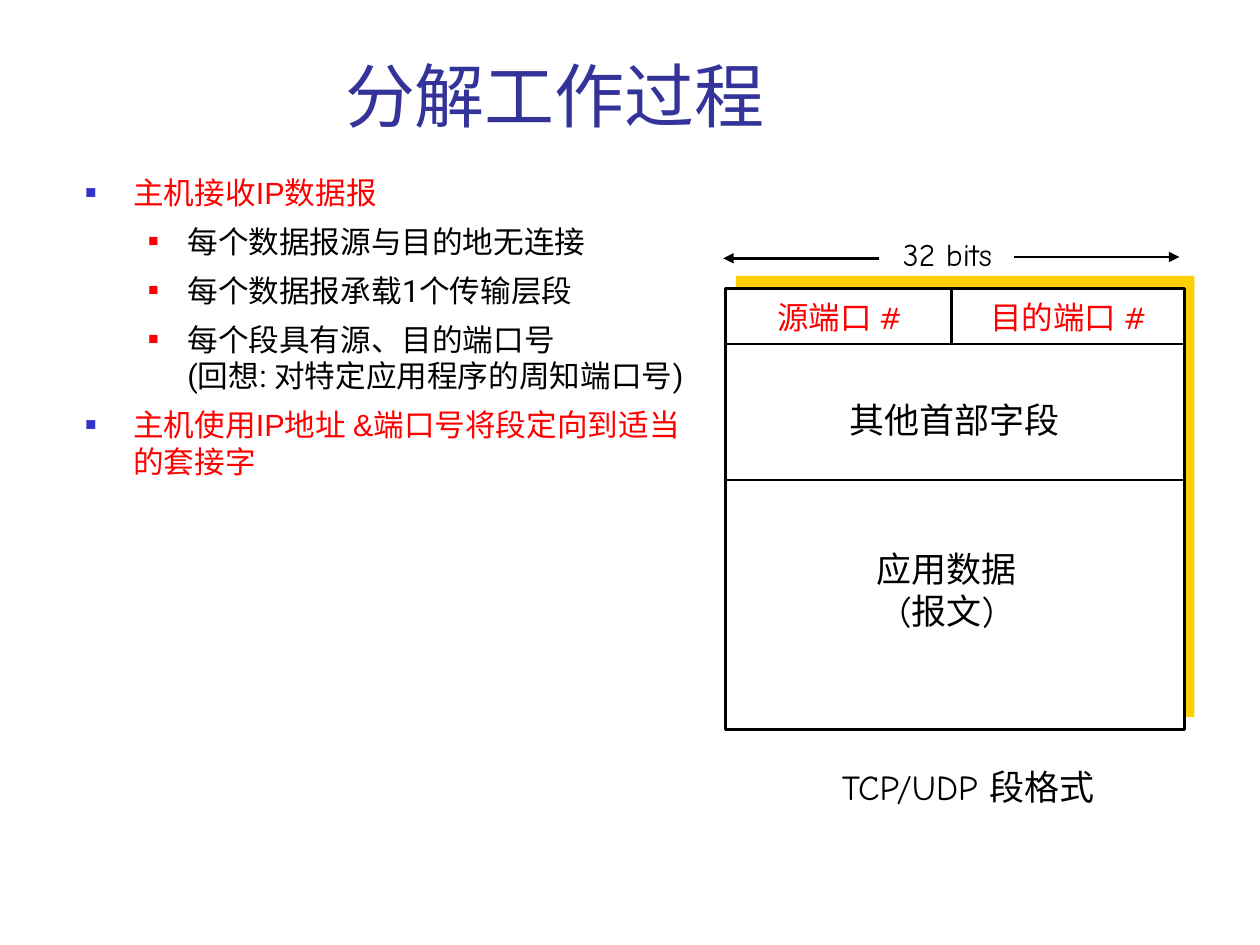
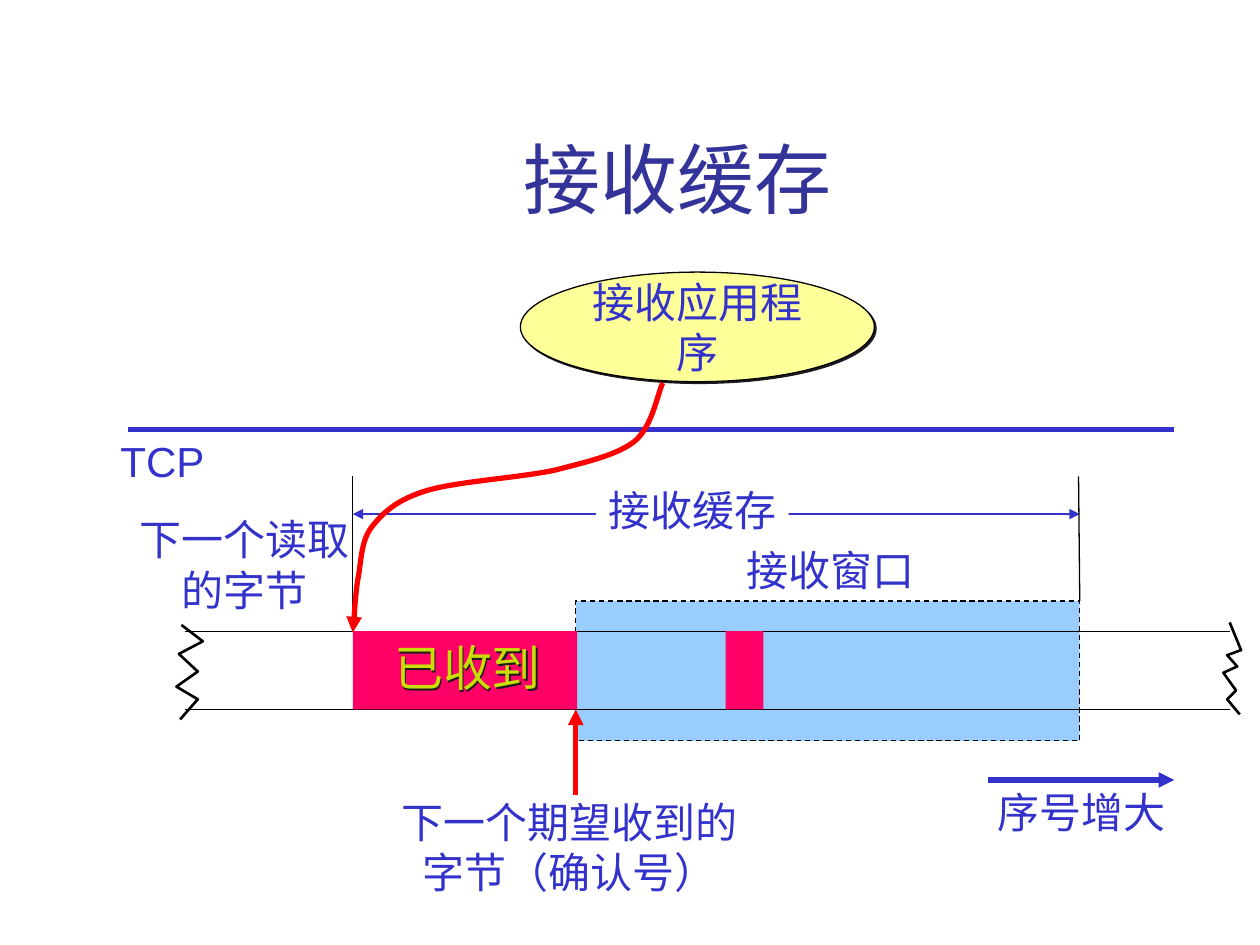
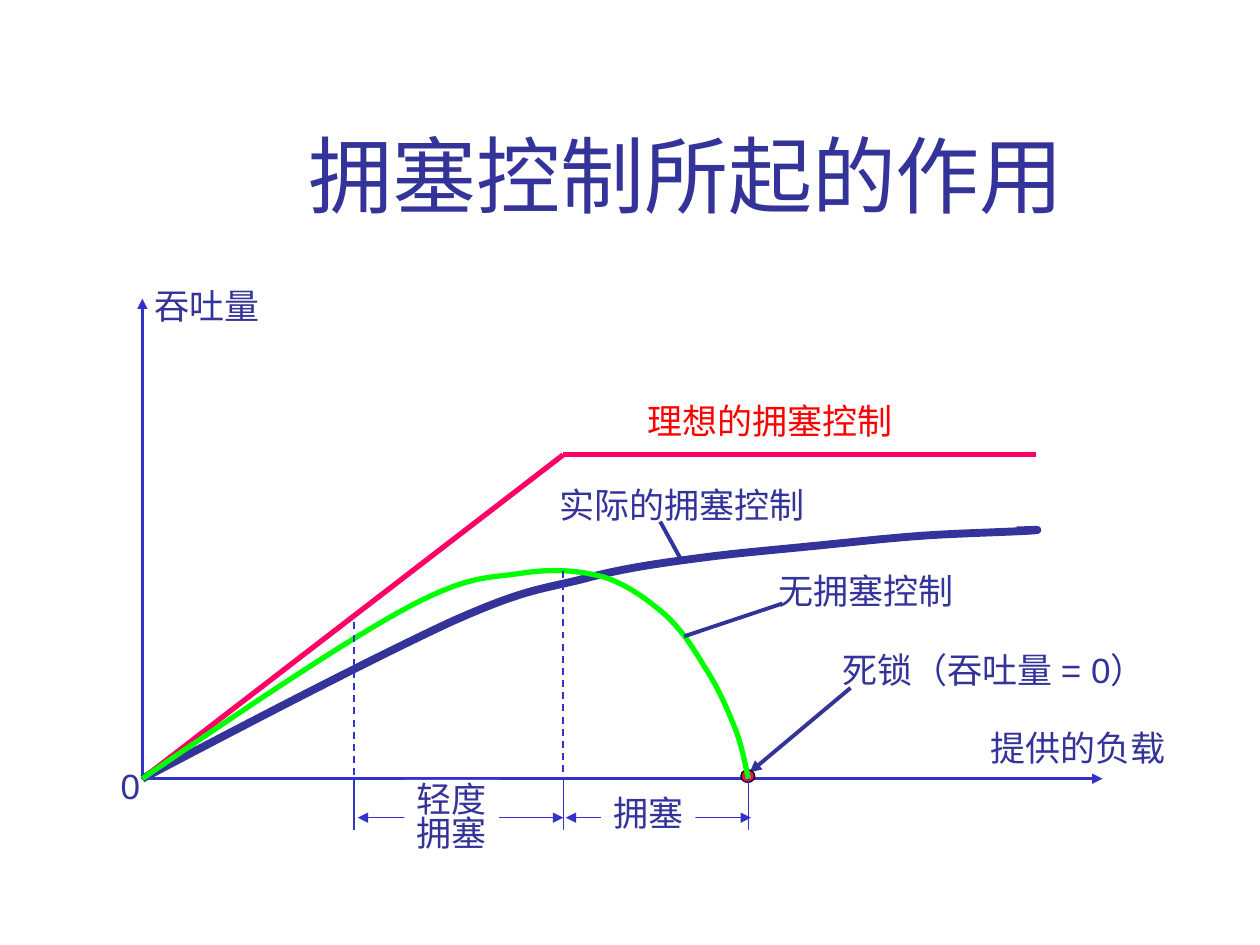
import pptx
import pptx.dml.color
import pptx.enum.dml
import pptx.enum.lang
import pptx.enum.shapes
import pptx.enum.text
import pptx.oxml
import pptx.oxml.ns
import pptx.util

RGB = pptx.dml.color.RGBColor
ALIGN = pptx.enum.text.PP_ALIGN
ANCHOR = pptx.enum.text.MSO_ANCHOR
SHAPE = pptx.enum.shapes.MSO_SHAPE
qn = pptx.oxml.ns.qn

# Shared style
SCALE = 9144  # EMU in one px, at 100 px to the inch
TITLE_COLOR = NAVY = RGB(0x33, 0x33, 0x99)
BLUE = RGB(0x33, 0x33, 0xCC)
RED = RGB(0xFF, 0x00, 0x00)
PINK = RGB(0xFF, 0x00, 0x66)
BLACK = RGB(0x00, 0x00, 0x00)
WHITE = RGB(0xFF, 0xFF, 0xFF)
GOLD = RGB(0xFF, 0xCF, 0x01)
SKY = RGB(0x99, 0xCC, 0xFF)
CREAM = RGB(0xFF, 0xFF, 0x99)
LIME = RGB(0xC9, 0xDE, 0x06)
GREEN = RGB(0x00, 0xFF, 0x00)
SHADOW = RGB(0x1C, 0x1C, 0x1C)
SANS, BODY, COMIC = "Arial", "Roboto", "Comic Neue"


def px(length):
    return pptx.util.Emu(length * SCALE)


def element(xml):
    """Parse one DrawingML element."""
    return pptx.oxml.parse_xml(f"<a:root {pptx.oxml.ns.nsdecls('a')}>{xml}</a:root>")[0]


def add_shadow(shape):
    """Cast a short shadow down and to the right."""
    shape.shadow.inherit = False
    shape._element.spPr.find(qn("a:effectLst")).append(element(
        '<a:outerShdw dist="17780" dir="2700000" algn="ctr">'
        f'<a:srgbClr val="{SHADOW}"/></a:outerShdw>'))


# Text
def add_text(paragraph, text, size, color, font):
    """Add one run for each line of the text, with line breaks between."""
    for number, line in enumerate(text.split("\n")):
        if number:
            paragraph.add_line_break()
        run = paragraph.add_run()
        run.text = line
        run.font.size = pptx.util.Pt(size)
        run.font.name = font
        run.font.color.rgb = color
        run.font.language_id = pptx.enum.lang.MSO_LANGUAGE_ID.SIMPLIFIED_CHINESE


def set_frame(frame, left=10, right=10, anchor=ANCHOR.TOP):
    frame.word_wrap = True
    frame.vertical_anchor = anchor
    frame.margin_left, frame.margin_right = px(left), px(right)
    frame.margin_top = frame.margin_bottom = px(5)


def add_label(slide, box, lines, size, color=BLUE, font=SANS, align=ALIGN.CENTER,
              fill=None, spacing=None):
    """Add a label with one paragraph for each line."""
    label = slide.shapes.add_textbox(*map(px, box))
    if fill is not None:
        label.fill.solid()
        label.fill.fore_color.rgb = fill
    frame = label.text_frame
    # Slim margins keep each line whole in its tight box
    if align == ALIGN.LEFT:
        set_frame(frame, right=0)
    else:
        set_frame(frame, left=4, right=4)
    for number, line in enumerate(lines):
        paragraph = frame.add_paragraph() if number else frame.paragraphs[0]
        paragraph.alignment = align
        paragraph.line_spacing = spacing
        add_text(paragraph, line, size, color, font)
    return label


def add_title(slide, box, text, size, align=ALIGN.CENTER):
    frame = slide.shapes.add_textbox(*map(px, box)).text_frame
    set_frame(frame, anchor=ANCHOR.BOTTOM)
    frame.paragraphs[0].alignment = align
    add_text(frame.paragraphs[0], text, size, TITLE_COLOR, SANS)


def add_outline(slide, box, items):
    """Add a bulleted outline from (level, text) pairs."""
    # Per level: left margin, hanging indent, bullet colour, bullet %, text colour, font
    levels = [(38, 38, BLUE, 60, RED, SANS), (81, 31, RED, 55, BLACK, BODY)]
    frame = slide.shapes.add_textbox(*map(px, box)).text_frame
    set_frame(frame)
    for number, (level, text) in enumerate(items):
        margin, hanging, bullet_color, percent, color, font = levels[level]
        paragraph = frame.add_paragraph() if number else frame.paragraphs[0]
        paragraph.level = level
        paragraph.space_before = pptx.util.Pt(7)
        properties = paragraph._p.get_or_add_pPr()
        properties.set("marL", str(px(margin)))
        properties.set("indent", str(-px(hanging)))
        for xml in (f'<a:buClr><a:srgbClr val="{bullet_color}"/></a:buClr>',
                    f'<a:buSzPct val="{percent * 1000}"/>',
                    '<a:buFont typeface="Arial"/>',
                    '<a:buChar char="■"/>'):
            properties.append(element(xml))
        add_text(paragraph, text, 17.5, color, font)


# Shapes and lines
def set_line(line, color, width, dashed=False, arrows=""):
    """Style a line; arrows may name "head" (start), "tail" (end) or both."""
    line.color.rgb = color
    line.width = pptx.util.Pt(width)
    if dashed:
        line.dash_style = pptx.enum.dml.MSO_LINE.DASH
    for end in ("head", "tail"):
        if end in arrows:
            line._get_or_add_ln().append(element(f'<a:{end}End type="triangle"/>'))


def add_box(slide, box, fill, line_width=0, dashed=False, kind=SHAPE.RECTANGLE):
    shape = slide.shapes.add_shape(kind, *map(px, box))
    shape.shadow.inherit = False
    shape.fill.solid()
    shape.fill.fore_color.rgb = fill
    if line_width:
        set_line(shape.line, BLACK, line_width, dashed)
    else:
        shape.line.fill.background()
    return shape


def add_line(slide, start, end, color, width, dashed=False, arrows=""):
    line = slide.shapes.add_connector(
        pptx.enum.shapes.MSO_CONNECTOR.STRAIGHT, *map(px, start + end))
    set_line(line.line, color, width, dashed, arrows)
    line._element.spPr.append(element("<a:effectLst/>"))


def add_path(slide, points, color, width, arrows=""):
    """Draw an open outline through the points."""
    (x, y), *others = [(px(x), px(y)) for x, y in points]
    builder = slide.shapes.build_freeform(x, y)
    builder.add_line_segments(others, close=False)
    path = builder.convert_to_shape()
    path.shadow.inherit = False
    path.fill.background()
    set_line(path.line, color, width, arrows=arrows)
    return path


def add_curve(slide, points, color, width, arrows=""):
    """Draw cubic curves: a start, then two controls and an end for each."""
    curve = add_path(slide, points, color, width, arrows)
    segments = list(curve._element.spPr.iter(qn("a:lnTo")))
    for first in range(0, len(segments), 3):
        cubic = element("<a:cubicBezTo/>")
        segments[first].addprevious(cubic)
        for segment in segments[first:first + 3]:
            cubic.append(segment[0])
            segment.getparent().remove(segment)


# Slides
def build_segment_slide(slide):
    left, right, top = 576, 940, 229
    add_box(slide, (584, 219, 364, 350), GOLD)
    add_box(slide, (left, top, right - left, 350), WHITE, 1.5)
    add_title(slide, (264, 21, 587, 92), "分解工作过程", 40, ALIGN.LEFT)
    add_outline(slide, (58, 133, 497, 305), [
        (0, "主机接收IP数据报"),
        (1, "每个数据报源与目的地无连接"),
        (1, "每个数据报承载1个传输层段"),
        (1, "每个段具有源、目的端口号 \n(回想: 对特定应用程序的周知端口号)"),
        (0, "主机使用IP地址 &端口号将段定向到适当的套接字"),
    ])

    # Field borders and the width arrows
    for border in (273, 381):
        add_line(slide, (left, border), (right, border), BLACK, 1.5)
    add_line(slide, (755, 272), (755, top), BLACK, 1.5)
    add_line(slide, (805, 204), (936, 204), BLACK, 1.5, arrows="tail")
    add_line(slide, (698, 205), (574, 205), BLACK, 1.5, arrows="tail")

    # Field names
    for box, lines, size, color in [
        ((604, 232, 125, 40), ["源端口 #"], 18, RED),
        ((773, 232, 150, 40), ["目的端口 #"], 18, RED),
        ((707, 182, 90, 40), ["32 bits"], 18, BLACK),
        ((686, 430, 131, 77), ["应用数据", "(报文)"], 20, BLACK),
        ((664, 311, 187, 44), ["其他首部字段"], 20, BLACK),
        ((653, 603, 231, 44), ["TCP/UDP 段格式"], 20, BLACK),
    ]:
        add_label(slide, box, lines, size, color, COMIC)


def build_buffer_slide(slide):
    stream_top, stream_bottom = 501, 563
    stream_height = stream_bottom - stream_top
    buffer_left, window_left, buffer_right = 280, 457, 857

    add_box(slide, (window_left, 477, buffer_right - window_left, 111), SKY, 0.75, True)
    add_title(slide, (126, 23, 823, 160), "接收缓存", 44)

    # Receiving application above the TCP boundary
    application = add_box(slide, (413, 216, 281, 87), CREAM, 0.75, kind=SHAPE.OVAL)
    add_shadow(application)
    set_frame(application.text_frame, left=0, right=0, anchor=ANCHOR.MIDDLE)
    caption = application.text_frame.paragraphs[0]
    caption.alignment = ALIGN.CENTER
    add_text(caption, "接收应用程序", 24, BLUE, SANS)
    add_line(slide, (102, 341), (932, 341), BLUE, 3)

    # Byte stream and received blocks
    for edge in (stream_top, stream_bottom):
        add_line(slide, (147, edge), (976, edge), BLACK, 0.75)
    for block_left, block_width in ((buffer_left, 178), (576, 30)):
        add_box(slide, (block_left, stream_top, block_width, stream_height), PINK)
    received = add_label(slide, (303, stream_top, 136, 57), ["已收到"], 28, LIME,
                         align=ALIGN.LEFT)
    add_shadow(received)

    # Buffer extent
    add_line(slide, (buffer_left, 378), (buffer_left, stream_top), BLACK, 0.75)
    add_line(slide, (buffer_left, 408), (buffer_right, 408), BLUE, 0.75, arrows="head tail")
    add_label(slide, (473, 380, 153, 50), ["接收缓存"], 24, fill=WHITE)
    add_line(slide, (856, 378), (buffer_right, 477), BLACK, 0.75)

    # Pointers to the next bytes and the sequence direction
    add_curve(slide, [
        (526, 304), (522, 312), (518, 338), (504, 350), (490, 361), (468, 366), (441, 373),
        (414, 379), (364, 382), (340, 389), (316, 396), (305, 406), (296, 417),
        (286, 429), (287, 446), (284, 460), (282, 474), (281, 493), (280, 502),
    ], RED, 3, "tail")
    add_line(slide, (784, 619), (932, 619), BLUE, 3, arrows="tail")
    add_line(slide, (window_left, 631), (window_left, stream_bottom), RED, 3, arrows="tail")

    for box, lines in [
        ((583, 427, 153, 50), ["接收窗口"]),
        ((86, 341, 86, 50), ["TCP"]),
        ((101, 403, 186, 90), ["下一个读取", "的字节"]),
        ((782, 619, 153, 50), ["序号增大"]),
        ((309, 627, 286, 90), ["下一个期望收到的", "字节（确认号）"]),
    ]:
        add_label(slide, box, lines, 24)

    # Torn ends of the stream
    for tear in [
        [(976, 494), (985, 516), (974, 520), (982, 529),
         (971, 534), (981, 548), (974, 555), (984, 567)],
        [(144, 496), (161, 509), (142, 519), (157, 533),
         (140, 545), (157, 555), (143, 571)],
    ]:
        add_path(slide, tear, BLACK, 1.5)


def build_congestion_slide(slide):
    origin = (113, 618)
    axis = origin[1]
    light, heavy, deadlock = 281, 447, 594  # loads where each stage begins
    knee = (heavy, 361)

    add_title(slide, (126, 23, 852, 160), "拥塞控制所起的作用 ", 48)
    add_line(slide, origin, (113, 237), BLUE, 1.5, arrows="tail")

    # Ideal and actual control
    add_line(slide, origin, knee, PINK, 3)
    add_line(slide, knee, (822, 361), PINK, 3)
    add_curve(slide, [
        origin, (206, 569), (299, 521), (357, 494), (415, 468), (428, 468), (461, 460),
        (494, 451), (524, 447), (554, 443), (584, 439), (609, 437), (639, 434),
        (670, 431), (705, 427), (735, 425), (765, 423), (808, 422), (820, 421),
        (832, 420), (809, 421), (807, 421),
    ], NAVY, 4.5)
    add_line(slide, (524, 414), (541, 445), NAVY, 2.25)
    add_line(slide, origin, (875, axis), BLUE, 1.5, arrows="tail")

    # Deadlock point
    add_line(slide, (675, 546), (595, 613), NAVY, 2.25, arrows="tail")
    add_box(slide, (588, 611, 11, 10), PINK, 0.75, kind=SHAPE.OVAL)

    # Stage extents and the curve without control
    add_line(slide, (449, 649), (596, 649), BLUE, 0.75, arrows="head tail")
    add_line(slide, (284, 649), (heavy, 649), BLUE, 0.75, arrows="head tail")
    add_curve(slide, [
        origin, (192, 564), (272, 510), (322, 483), (372, 456), (388, 459), (414, 455),
        (440, 451), (460, 453), (479, 458), (498, 464), (514, 476), (528, 488),
        (541, 500), (550, 514), (559, 529), (569, 544), (577, 562), (583, 577),
        (589, 592), (591, 605), (deadlock, axis),
    ], GREEN, 3)
    add_line(slide, (621, 479), (543, 505), NAVY, 2.25)
    for load, top in ((light, 494), (heavy, 453)):
        add_line(slide, (load, top), (load, axis), BLUE, 1, dashed=True)
    for load in (light, heavy, deadlock):
        add_line(slide, (load, axis), (load, 659), BLUE, 0.75)

    # Labels
    for box, text, color in [
        ((776, 572, 159, 44), "提供的负载", NAVY),
        ((113, 221, 103, 44), "吞吐量", NAVY),
        ((504, 312, 215, 44), "理想的拥塞控制", RED),
        ((434, 379, 215, 44), "实际的拥塞控制", NAVY),
        ((86, 602, 35, 44), "0", NAVY),
        ((659, 510, 274, 44), "死锁（吞吐量 = 0）", NAVY),
        ((608, 447, 159, 44), "无拥塞控制", NAVY),
    ]:
        add_label(slide, box, [text], 20, color, align=ALIGN.LEFT)
    add_label(slide, (477, 623, 75, 44), ["拥塞"], 20, NAVY, align=ALIGN.LEFT, fill=WHITE)
    add_label(slide, (321, 619, 75, 64), ["轻度", "拥塞"], 20, NAVY,
              align=ALIGN.LEFT, fill=WHITE, spacing=0.8)


def main():
    deck = pptx.Presentation()
    deck.slide_width, deck.slide_height = px(1000), px(750)
    for build in (build_segment_slide, build_buffer_slide, build_congestion_slide):
        build(deck.slides.add_slide(deck.slide_layouts[6]))
    deck.save("out.pptx")


if __name__ == "__main__":
    main()
